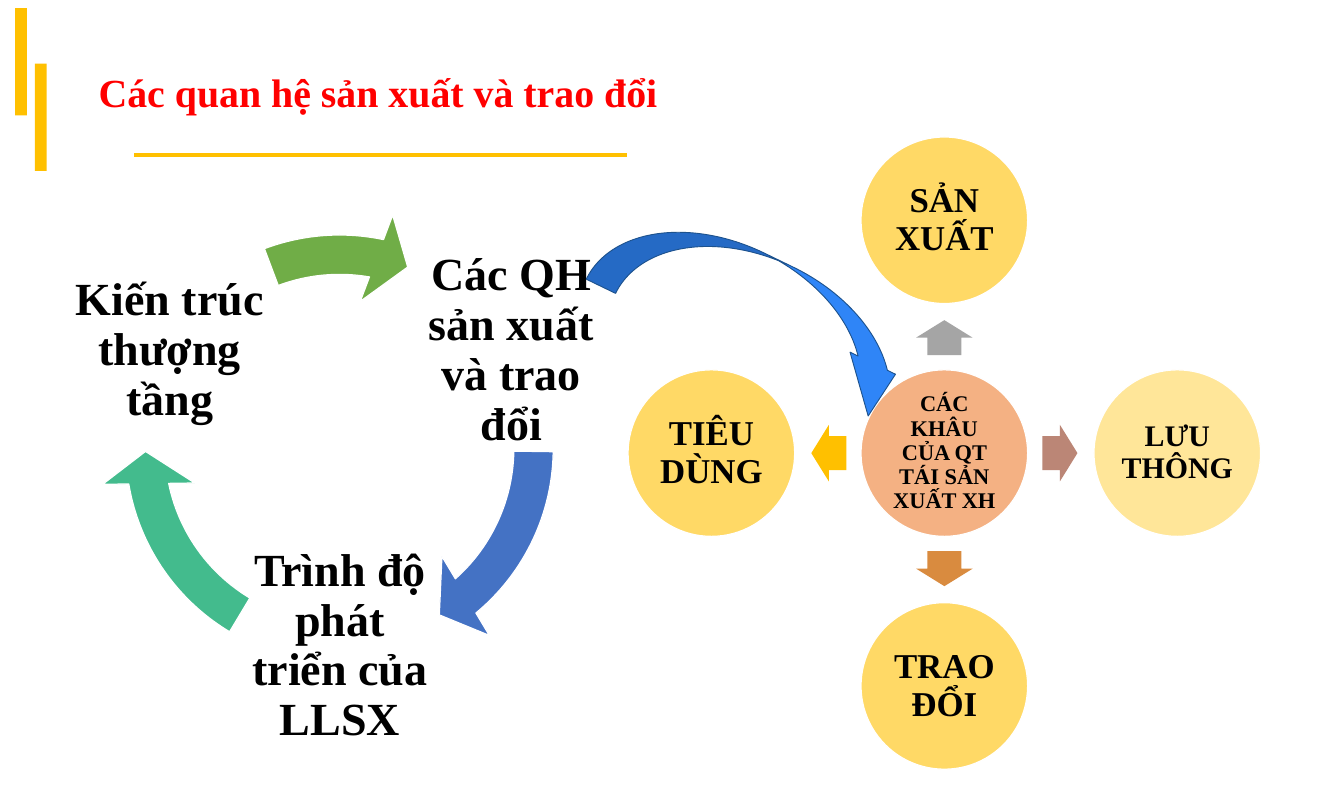
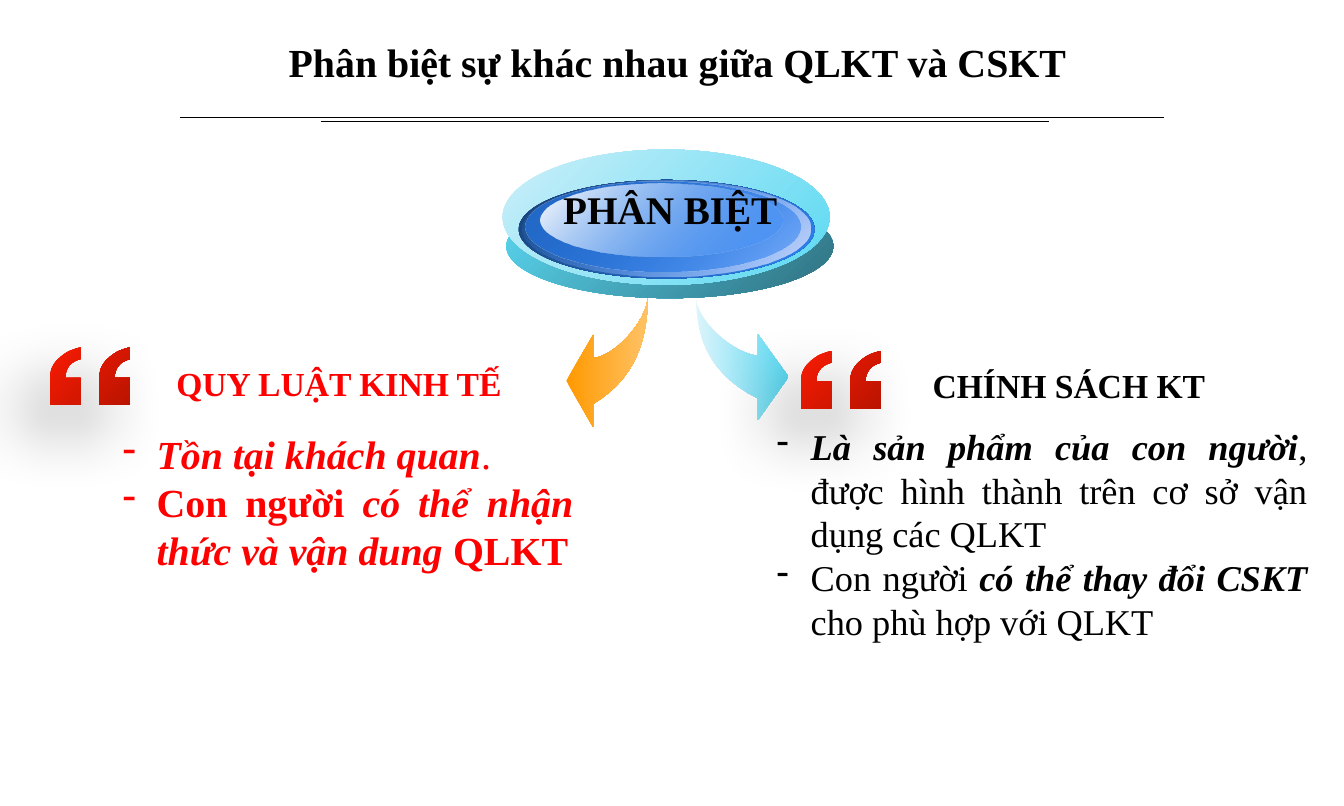
from lxml import etree
from pptx import Presentation
from pptx.dml.color import RGBColor
from pptx.enum.shapes import MSO_CONNECTOR, MSO_SHAPE
from pptx.enum.text import MSO_ANCHOR, MSO_AUTO_SIZE, PP_ALIGN
from pptx.oxml import parse_xml
from pptx.oxml.ns import nsdecls, qn
from pptx.util import Inches, Pt

FONT = "Times New Roman"
COLORS = {
    "black": "000000", "white": "FFFFFF", "red": "FF0000", "gold": "FFC000",
    "blue": "4472C4", "teal": "43BB8D", "green": "70AD47",
    "peach": "F4B183", "yellow": "FFD966", "pale_yellow": "FFE699",
    "gray": "A5A5A5", "rose": "BB8676", "copper": "D98B3F",
    "azure": "2F85F7", "azure_edge": "1D528D", "azure_mid": "2268C8",
    "navy": "163F76", "periwinkle": "D5DEFC",
    "cyan": "5AD9F2", "cyan_light": "CCEFF9", "cyan_pale": "DCF4FB",
    "cyan_dark": "2F7080", "orange": "FF9900", "orange_light": "FFC266",
    "quote_red": "F81B02", "quote_dark": "BA1401",
}
UNITS = 1000  # freeform units per inch


def rgb(name):
    return RGBColor.from_string(COLORS[name])


def write(frame, paragraphs, size=32, color="black", style="b", align=PP_ALIGN.LEFT,
          anchor=MSO_ANCHOR.TOP, spacing=None, inset=None, wrap=True, dash=False):
    """Fill a frame; a paragraph is a string or a list of (text, style), style from "b" and "i"."""
    frame.word_wrap = wrap
    frame.auto_size = MSO_AUTO_SIZE.NONE
    frame.vertical_anchor = anchor
    if inset is not None:
        frame.margin_left = frame.margin_right = Inches(inset)
        frame.margin_top = frame.margin_bottom = Inches(inset)
    for index, content in enumerate(paragraphs):
        paragraph = frame.add_paragraph() if index else frame.paragraphs[0]
        paragraph.alignment = align
        if spacing:
            paragraph.line_spacing = spacing
        if dash:
            add_dash(paragraph)
        runs = [(content, style)] if isinstance(content, str) else content
        for words, run_style in runs:
            run = paragraph.add_run()
            run.text = words
            run.font.name = FONT
            run.font.size = Pt(size)
            run.font.bold = "b" in run_style
            run.font.italic = "i" in run_style
            run.font.color.rgb = rgb(color)


def add_dash(paragraph):
    properties = paragraph._p.get_or_add_pPr()
    properties.set("marL", str(Inches(0.38)))
    properties.set("indent", str(-Inches(0.38)))
    etree.SubElement(properties, qn("a:buFontTx"))
    etree.SubElement(properties, qn("a:buChar")).set("char", "-")


def add_text(slide, box, paragraphs, **fmt):
    frame = slide.shapes.add_textbox(*map(Inches, box)).text_frame
    write(frame, paragraphs, **fmt)


def add_title(deck, title, box, **fmt):
    """Start a title-only slide and place its title."""
    slide = deck.slides.add_slide(deck.slide_layouts[5])
    holder = slide.shapes.title
    holder.left, holder.top, holder.width, holder.height = map(Inches, box)
    write(holder.text_frame, [title], **fmt)
    return slide


def paint(shape, fill, line=None, width=1):
    shape.shadow.inherit = False
    shape.fill.solid()
    shape.fill.fore_color.rgb = rgb(fill)
    outline(shape, line, width)


def outline(shape, line, width):
    if line:
        shape.line.color.rgb = rgb(line)
        shape.line.width = Pt(width)
    else:
        shape.line.fill.background()


def paint_gradient(shape, stops, angle=45):
    """Blend two (colour, opacity percent) stops along a clockwise angle."""
    shape.shadow.inherit = False
    shape.line.fill.background()
    shape.fill.gradient()
    shape.fill.gradient_angle = -angle % 360
    for stop, (color, _) in zip(shape.fill.gradient_stops, stops):
        stop.color.rgb = rgb(color)
    elements = shape.element.xpath(".//a:gsLst//a:srgbClr")
    for element, (_, opacity) in zip(elements, stops):
        if opacity < 100:
            etree.SubElement(element, qn("a:alpha")).set("val", str(opacity * 1000))


def add_preset(slide, preset, box, fill, line=None, width=1, rotation=0, adjust=()):
    shape = slide.shapes.add_shape(preset, *map(Inches, box))
    paint(shape, fill, line, width)
    shape.rotation = rotation
    for index, value in enumerate(adjust):
        shape.adjustments[index] = value
    return shape


def add_rule(slide, left, right, y, color, width):
    rule = slide.shapes.add_connector(
        MSO_CONNECTOR.STRAIGHT, Inches(left), Inches(y), Inches(right), Inches(y))
    rule.line.color.rgb = rgb(color)
    rule.line.width = Pt(width)
    etree.SubElement(rule.element.spPr, qn("a:effectLst"))


def curve(*controls, steps=12):
    """Points of a cubic curve given by its four control points."""
    points = []
    for step in range(steps + 1):
        t = step / steps
        weights = ((1 - t) ** 3, 3 * t * (1 - t) ** 2, 3 * t * t * (1 - t), t ** 3)
        points.append(tuple(sum(w * p[axis] for w, p in zip(weights, controls))
                            for axis in (0, 1)))
    return points


def add_outline(slide, contours):
    scaled = [[(x * UNITS, y * UNITS) for x, y in contour] for contour in contours]
    builder = slide.shapes.build_freeform(*scaled[0][0], scale=Inches(1) / UNITS)
    for index, contour in enumerate(scaled):
        if index:
            builder.move_to(*contour[0])
        builder.add_line_segments(contour[1:], close=True)
    return builder.convert_to_shape()


def add_swoosh(slide, x, y, width, height, colors):
    """Curved arrow falling from (x, y); a negative width points it left."""
    unit = (curve((0, 0), (0, 0.38), (0.22, 0.65), (0.67, 0.82))
            + [(0.67, 1), (1, 0.64), (0.67, 0.285)]
            + curve((0.67, 0.465), (0.4, 0.445), (0.03, 0.19), (0, 0)))
    shape = add_outline(slide, [[(x + u * width, y + v * height) for u, v in unit]])
    paint_gradient(shape, [(color, 100) for color in colors], angle=0)


def add_quote_mark(slide, x, y):
    comma = ([(0.34, 0)]
             + curve((0.34, 0.13), (0.23, 0.16), (0.17, 0.23), (0.17, 0.34))
             + [(0.34, 0.34), (0.34, 0.64), (0, 0.64)]
             + curve((0, 0.34), (0, 0.25), (0.03, 0.18), (0.1, 0.12))
             + curve((0.1, 0.12), (0.16, 0.06), (0.24, 0.02), (0.34, 0)))
    shape = add_outline(slide, [[(x + shift + u, y + v) for u, v in comma]
                                for shift in (0.55, 0)])
    paint_gradient(shape, [("quote_red", 100), ("quote_dark", 100)])
    shape.element.spPr.find(qn("a:effectLst")).append(parse_xml(
        f'<a:outerShdw {nsdecls("a")} blurRad="{Pt(52)}" dist="{Pt(30)}" dir="8100000" '
        'algn="tr" rotWithShape="0"><a:srgbClr val="000000"><a:alpha val="40000"/>'
        '</a:srgbClr></a:outerShdw>'))


def add_cycle(slide):
    stages = [
        (4.57, 2.78, "Các QH sản xuất và trao đổi", "blue", 29.667, 0.498),
        (2.66, 6.08, "Trình độ phát triển của LLSX", "teal", 101.747, 72.578),
        (0.76, 2.78, "Kiến trúc thượng tầng", "green", 168.593, 149.652),
    ]
    for left, top, label, color, end, start in stages:
        add_text(slide, (left, top, 2.27, 2.27), [label], size=37, spacing=0.9,
                 align=PP_ALIGN.CENTER, anchor=MSO_ANCHOR.MIDDLE, inset=0.05)
        add_preset(slide, MSO_SHAPE.CIRCULAR_ARROW, (1.11, 2.33, 5.36, 5.36), color,
                   "white", adjust=(0.082, 5.755, end, start, 0.096))


def add_circle(slide, x, y, label, fill, size, inset):
    diameter = 1.86
    circle = add_preset(slide, MSO_SHAPE.OVAL,
                        (x - diameter / 2, y - diameter / 2, diameter, diameter),
                        fill, "white")
    write(circle.text_frame, [label], size=size, spacing=0.9, inset=inset,
          align=PP_ALIGN.CENTER, anchor=MSO_ANCHOR.MIDDLE)


def add_hub(slide):
    hub_x, hub_y, reach, arrow_reach = 10.54, 5.06, 2.6, 1.29
    arrow_length, arrow_width = 0.39, 0.63
    add_circle(slide, hub_x, hub_y, "CÁC KHÂU CỦA QT TÁI SẢN XUẤT XH", "peach", 18, 0.03)
    spokes = [
        (0, -1, 270, "SẢN XUẤT", "yellow", "gray", 28, 0.04),
        (1, 0, 0, "LƯU THÔNG", "pale_yellow", "rose", 24, 0.03),
        (0, 1, 90, "TRAO ĐỔI", "yellow", "copper", 28, 0.04),
        (-1, 0, 180, "TIÊU DÙNG", "yellow", "gold", 28, 0.04),
    ]
    for dx, dy, rotation, label, fill, arrow_fill, size, inset in spokes:
        add_preset(slide, MSO_SHAPE.RIGHT_ARROW,
                   (hub_x + dx * arrow_reach - arrow_length / 2,
                    hub_y + dy * arrow_reach - arrow_width / 2, arrow_length, arrow_width),
                   arrow_fill, rotation=rotation, adjust=(0.6, 0.5))
        add_circle(slide, hub_x + dx * reach, hub_y + dy * reach, label, fill, size, inset)


def add_disc(slide):
    layers = [
        ((5.65, 2.17, 3.65, 1.16), ("cyan", 100), ("cyan_dark", 100)),
        ((5.61, 1.67, 3.65, 1.51), ("cyan_light", 100), ("cyan", 100)),
        ((5.79, 2.01, 3.3, 1.1), ("navy", 100), ("azure", 100)),
        ((5.83, 2.02, 3.22, 1.07), ("azure", 0), ("periwinkle", 100)),
        ((5.86, 2.03, 3.07, 1), ("azure_mid", 100), ("azure", 48)),
        ((6.03, 2.05, 2.7, 0.81), ("white", 100), ("azure", 38)),
    ]
    for box, *stops in layers:
        paint_gradient(slide.shapes.add_shape(MSO_SHAPE.OVAL, *map(Inches, box)), stops)
    add_text(slide, (6.17, 2.02, 2.62, 0.63), ["PHÂN BIỆT"], size=31.5,
             align=PP_ALIGN.CENTER, wrap=False)


def build_relations(deck):
    slide = add_title(deck, "Các quan hệ sản xuất và trao đổi", (1, 0.71, 6.76, 0.64),
                      color="red")
    add_cycle(slide)
    add_hub(slide)
    add_preset(slide, MSO_SHAPE.CURVED_DOWN_ARROW, (6.6, 2.87, 3.78, 1.13), "azure",
               "azure_edge", 0.75, rotation=25.9, adjust=(0.322, 0.499, 0.489))
    add_rule(slide, 1.5, 7, 1.73, "gold", 3)
    for left, top in ((0.17, 0.09), (0.39, 0.71)):
        add_preset(slide, MSO_SHAPE.RECTANGLE, (left, top, 0.13, 1.2), "gold")


def build_distinction(deck):
    slide = add_title(deck, "Phân biệt sự khác nhau giữa QLKT và CSKT",
                      (1.54, 0.37, 12.05, 0.64), align=PP_ALIGN.CENTER)
    add_rule(slide, 2.01, 12.99, 1.31, "black", 0.5)
    add_rule(slide, 3.58, 11.71, 1.36, "black", 0.5)
    add_swoosh(slide, 7.23, 3.33, -0.91, 1.44, ("orange", "orange_light"))
    add_swoosh(slide, 7.77, 3.35, 1.03, 1.34, ("cyan_pale", "cyan"))
    add_disc(slide)
    add_quote_mark(slide, 0.56, 3.88)
    add_quote_mark(slide, 8.94, 3.92)
    add_text(slide, (1.87, 4, 3.9, 0.55), ["QUY LUẬT KINH TẾ"], size=27, color="red")
    add_text(slide, (10.31, 4.03, 3.28, 0.56), ["CHÍNH SÁCH KT"], size=27)
    add_text(slide, (1.27, 4.75, 5.23, 1.72), [
        [("Tồn tại khách quan", "bi"), (".", "")],
        [("Con người ", "b"), ("có thể nhận thức và vận dung ", "bi"), ("QLKT", "b")],
    ], color="red", align=PP_ALIGN.JUSTIFY, dash=True)
    add_text(slide, (8.57, 4.69, 6.12, 2.56), [
        [("Là sản phẩm của con người", "bi"),
         (", được hình thành trên cơ sở vận dụng các QLKT", "")],
        [("Con người ", ""), ("có thể thay đổi CSKT ", "bi"), ("cho phù hợp với QLKT", "")],
    ], size=29.2, align=PP_ALIGN.JUSTIFY, dash=True)


def main():
    deck = Presentation()
    deck.slide_width, deck.slide_height = Inches(15), Inches(9)
    build_relations(deck)
    build_distinction(deck)
    deck.save("out.pptx")


if __name__ == "__main__":
    main()
